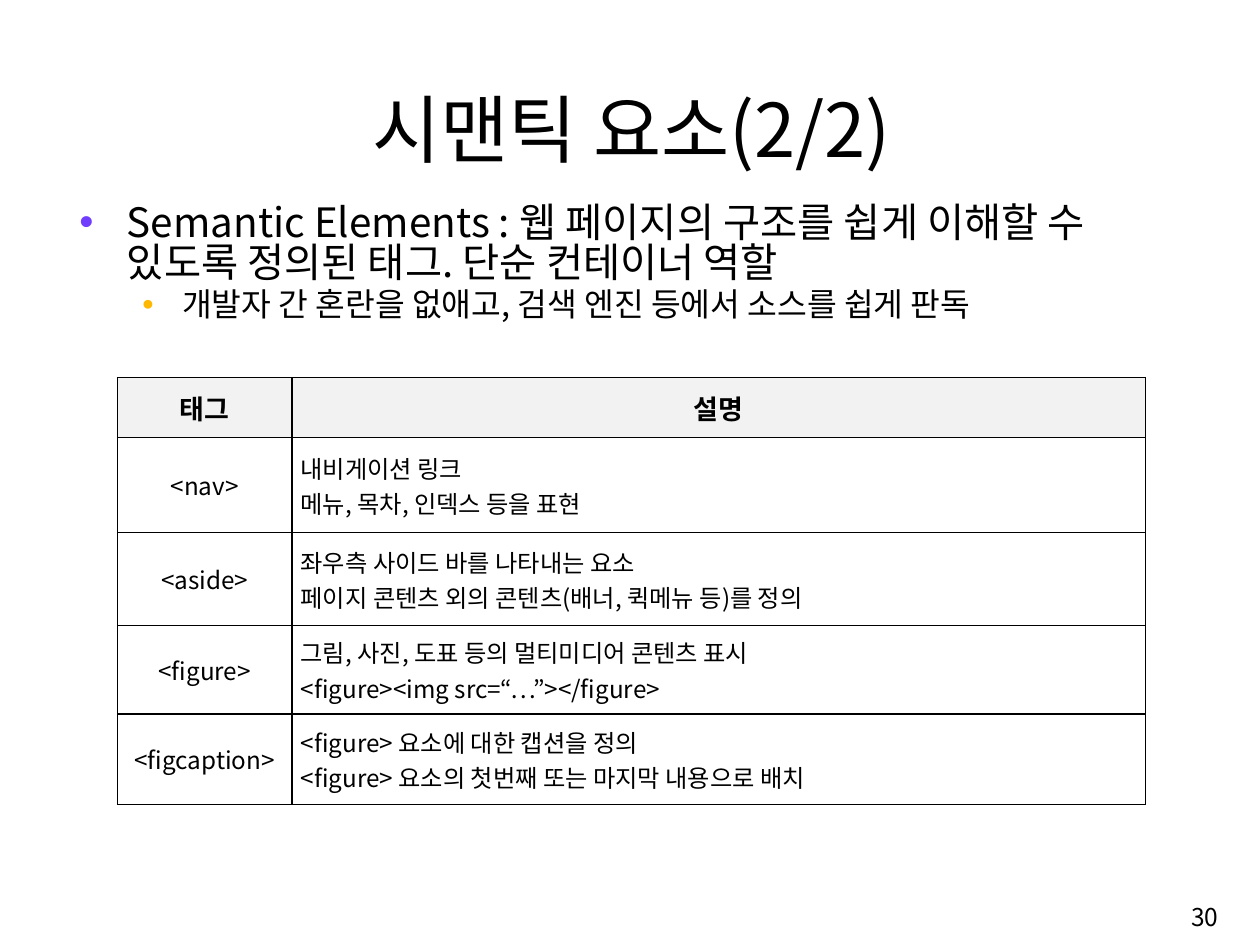
import pptx
import pptx.dml.color
import pptx.enum.text
import pptx.oxml.ns
import pptx.util
from lxml import etree

Inches, Pt = pptx.util.Inches, pptx.util.Pt
Align, Anchor = pptx.enum.text.PP_ALIGN, pptx.enum.text.MSO_ANCHOR
qn = pptx.oxml.ns.qn
FONT = "Noto Sans CJK KR"
BLACK, HEADER_FILL, WHITE = "000000", "F2F2F2", "FFFFFF"


def color(code):
    return pptx.dml.color.RGBColor.from_string(code)


def write(frame, lines, size, align=Align.LEFT, anchor=Anchor.MIDDLE, bold=False):
    frame.word_wrap = True
    frame.vertical_anchor = anchor
    for index, line in enumerate(lines):
        para = frame.paragraphs[0] if index == 0 else frame.add_paragraph()
        para.alignment = align
        span = para.add_run()
        span.text = line
        span.font.size, span.font.bold = Pt(size), bold
        span.font.name = FONT
        span.font.color.rgb = color(BLACK)
        etree.SubElement(span.font._element, qn("a:ea"), typeface=FONT)


deck = pptx.Presentation()
deck.slide_width, deck.slide_height = Inches(12.99), Inches(9.74)
page = deck.slides.add_slide(deck.slide_layouts[6])
page.background.fill.solid()
page.background.fill.fore_color.rgb = color(WHITE)

# Title, above the table and as wide
left, width = Inches(1.21), Inches(10.6)
box = page.shapes.add_textbox(left, Inches(0.78), width, Inches(1.08))
write(box.text_frame, ["시맨틱 요소(2/2)"], size=55, align=Align.CENTER)

# Bulleted text: wording, size, indent, hanging, bullet colour
bullets = [
    ("Semantic Elements : 웹 페이지의 구조를 쉽게 이해할 수 있도록 정의된 태그. 단순 컨테이너 역할",
     30, 0.49, 0.49, "703DFF"),
    ("개발자 간 혼란을 없애고, 검색 엔진 등에서 소스를 쉽게 판독",
     24, 1.06, 0.41, "FFB800"),
]
box = page.shapes.add_textbox(Inches(0.72), Inches(2.07), Inches(11.59), Inches(7.1))
write(box.text_frame, [bullet[0] for bullet in bullets], size=30, anchor=Anchor.TOP)
for level, (para, bullet) in enumerate(zip(box.text_frame.paragraphs, bullets)):
    words, size, indent, hanging, dot = bullet
    para.level = level
    para.line_spacing = 0.82
    para.space_before = Pt(size * 0.2)
    para.runs[0].font.size = Pt(size)
    props = para._p.get_or_add_pPr()
    props.set("marL", str(Inches(indent)))
    props.set("indent", str(-Inches(hanging)))
    tint = etree.SubElement(props, qn("a:buClr"))
    etree.SubElement(tint, qn("a:srgbClr"), val=dot)
    etree.SubElement(props, qn("a:buFont"), typeface="Arial")
    etree.SubElement(props, qn("a:buChar"), char="•")

# Table of tags
rows = [
    (0.62, "태그", ["설명"]),
    (0.98, "<nav>", ["내비게이션 링크", "메뉴, 목차, 인덱스 등을 표현"]),
    (0.96, "<aside>", ["좌우측 사이드 바를 나타내는 요소",
                       "페이지 콘텐츠 외의 콘텐츠(배너, 퀵메뉴 등)를 정의"]),
    (0.91, "<figure>", ["그림, 사진, 도표 등의 멀티미디어 콘텐츠 표시",
                        "<figure><img src=“…”></figure>"]),
    (0.93, "<figcaption>", ["<figure> 요소에 대한 캡션을 정의",
                            "<figure> 요소의 첫번째 또는 마지막 내용으로 배치"]),
]
height = Inches(sum(row[0] for row in rows))
table = page.shapes.add_table(len(rows), 2, left, Inches(3.89), width, height).table
table.horz_banding = False
table.columns[0].width, table.columns[1].width = Inches(1.8), Inches(8.8)

for r, (row_height, tag, description) in enumerate(rows):
    table.rows[r].height = Inches(row_height)
    header = r == 0
    for c, lines in enumerate([[tag], description]):
        cell = table.cell(r, c)
        cell.margin_left = cell.margin_right = Inches(0.09)
        cell.margin_top = cell.margin_bottom = Inches(0.03)
        cell.vertical_anchor = Anchor.MIDDLE
        write(cell.text_frame, lines, size=20 if header else 18, bold=header,
              align=Align.CENTER if header or c == 0 else Align.JUSTIFY)
        # Borders come before the fill in the cell properties
        props = cell._tc.get_or_add_tcPr()
        for side in ("lnL", "lnR", "lnT", "lnB"):
            border = etree.SubElement(props, qn("a:" + side), w=str(Pt(1)))
            paint = etree.SubElement(border, qn("a:solidFill"))
            etree.SubElement(paint, qn("a:srgbClr"), val=BLACK)
        cell.fill.solid()
        cell.fill.fore_color.rgb = color(HEADER_FILL if header else WHITE)

# Page number
box = page.shapes.add_textbox(Inches(9.98), Inches(9.15), Inches(2.68), Inches(0.6))
write(box.text_frame, ["30"], size=18.2, align=Align.RIGHT)

deck.save("out.pptx")
